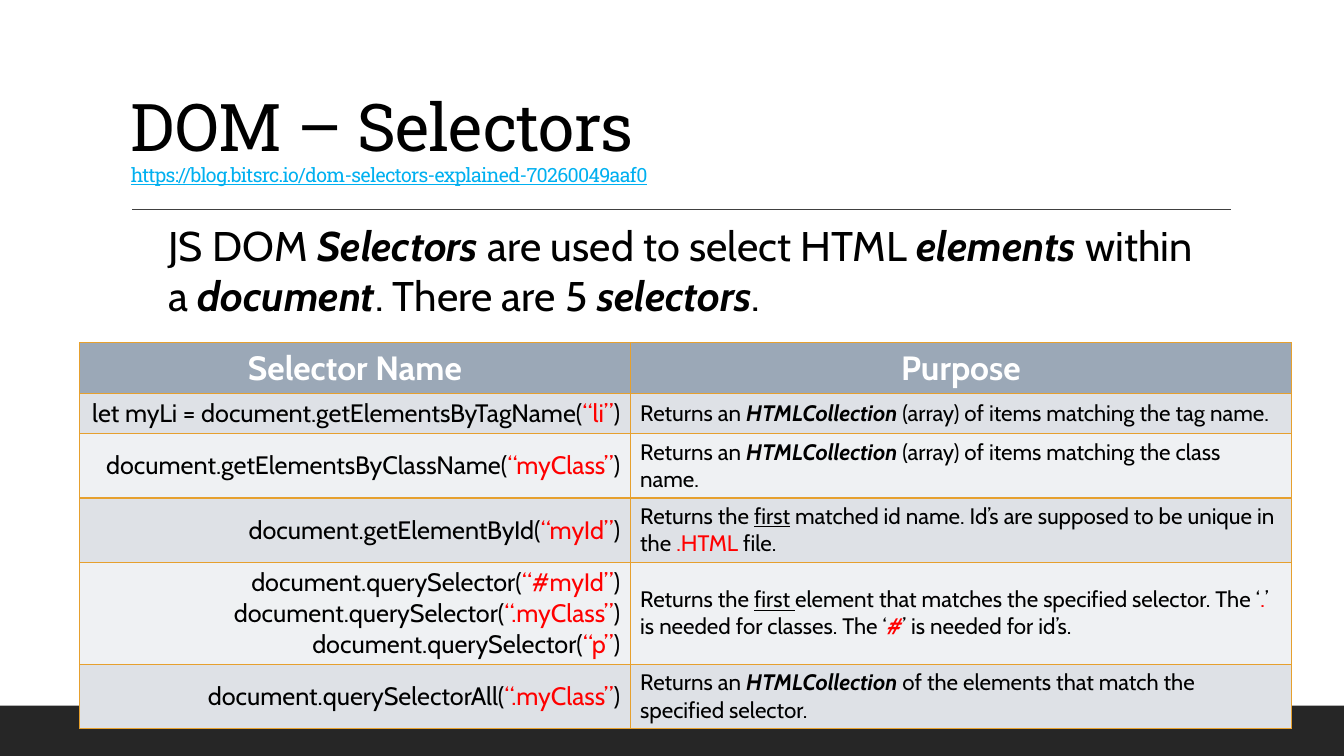
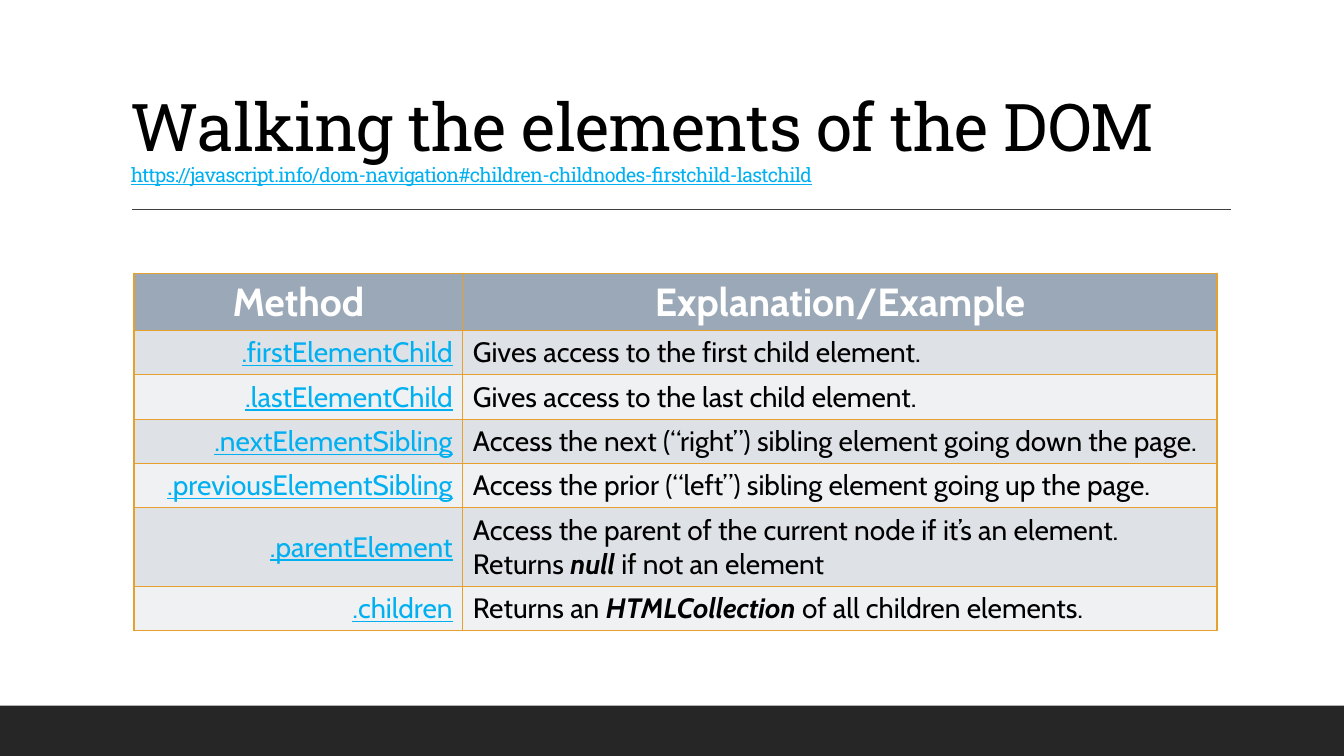
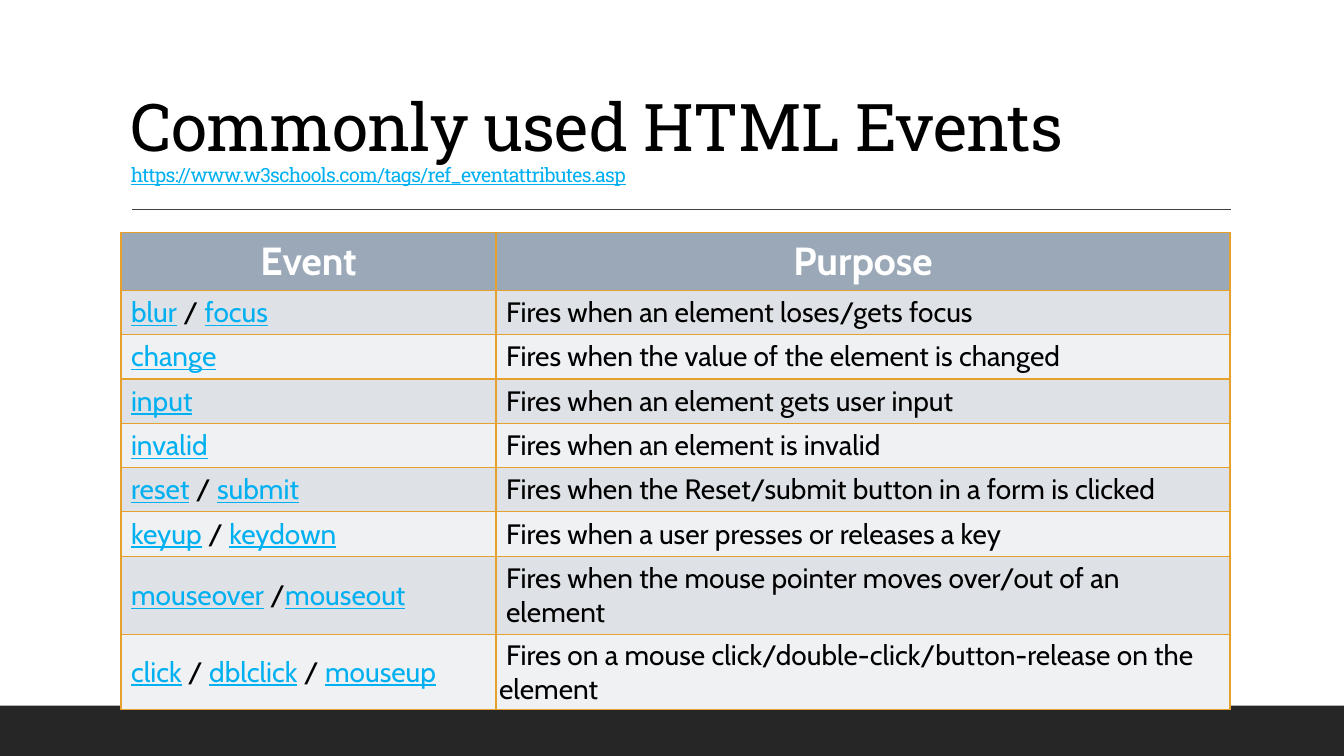
import pptx
import pptx.dml.color
import pptx.enum.shapes
import pptx.enum.text
import pptx.oxml
import pptx.oxml.ns
import pptx.util
import lxml.etree

Inches = pptx.util.Inches
Pt = pptx.util.Pt
RGBColor = pptx.dml.color.RGBColor
PP_ALIGN = pptx.enum.text.PP_ALIGN
MSO_ANCHOR = pptx.enum.text.MSO_ANCHOR
qn = pptx.oxml.ns.qn

BLACK = RGBColor(0x00, 0x00, 0x00)
WHITE = RGBColor(0xFF, 0xFF, 0xFF)
RED = RGBColor(0xFF, 0x00, 0x00)
LINK_BLUE = RGBColor(0x00, 0xB0, 0xF0)
BAND_GREY = RGBColor(0x26, 0x26, 0x26)
RULE_GREY = RGBColor(0x40, 0x40, 0x40)
HEADER_FILL = RGBColor(0x9B, 0xA8, 0xB7)
ROW_FILLS = [RGBColor(0xEF, 0xF1, 0xF3), RGBColor(0xDE, 0xE1, 0xE6)]
BORDER = RGBColor(0xE6, 0xA0, 0x2E)
TITLE_FONT = "Roboto Slab"
BODY_FONT = "Cabin"

STYLES = {
    "plain": (BLACK, False, False, False),
    "header": (WHITE, True, False, False),
    "strong": (BLACK, True, True, False),
    "red": (RED, False, False, False),
    "red strong": (RED, True, True, False),
    "under": (BLACK, False, False, True),
    "link": (LINK_BLUE, False, False, True),
}


def add_runs(paragraph, runs, size, font_name=BODY_FONT):
    for item in runs:
        text, style = (item, "plain") if isinstance(item, str) else item
        color, bold, italic, underline = STYLES[style]
        run = paragraph.add_run()
        run.text = text
        run.font.name = font_name
        run.font.size = Pt(size)
        run.font.color.rgb = color
        run.font.bold = bold
        run.font.italic = italic
        run.font.underline = underline


def style_cell(cell, fill):
    properties = cell._tc.get_or_add_tcPr()
    for side in ("lnL", "lnR", "lnT", "lnB"):
        line = lxml.etree.SubElement(properties, qn("a:" + side), w=str(Pt(1)))
        solid = lxml.etree.SubElement(line, qn("a:solidFill"))
        lxml.etree.SubElement(solid, qn("a:srgbClr"), val=str(BORDER))
    cell.fill.solid()
    cell.fill.fore_color.rgb = fill
    cell.vertical_anchor = MSO_ANCHOR.MIDDLE


COLLECTION = ("HTMLCollection", "strong")
selector_calls = [
    [("let myLi = document.getElementsByTagName", "“li”")],
    [("document.getElementsByClassName", "“myClass”")],
    [("document.getElementById", "“myId”")],
    [("document.querySelector", argument) for argument in ("“#myId”", "“.myClass”", "“p”")],
    [("document.querySelectorAll", "“.myClass”")],
]
selector_purposes = [
    ["Returns an ", COLLECTION, " (array) of items matching the tag name."],
    ["Returns an ", COLLECTION, " (array) of items matching the class name."],
    ["Returns the ", ("first", "under"),
     " matched id name. Id’s are supposed to be unique in the ", (".HTML ", "red"), "file."],
    ["Returns the ", ("first ", "under"), "element that matches the specified selector. The ‘",
     (".", "red"), "’ is needed for classes. The ‘", ("#", "red strong"), "’ is needed for id’s."],
    ["Returns an ", COLLECTION, " of the elements that match the specified selector."],
]
selector_rows = [
    ([[call + "(", (argument, "red"), ")"] for call, argument in calls], [purpose])
    for calls, purpose in zip(selector_calls, selector_purposes)
]

walking_rows = [
    ([[(method, "link")]], [explanation])
    for method, explanation in [
        (".firstElementChild", ["Gives access to the first child element."]),
        (".lastElementChild", ["Gives access to the last child element."]),
        (".nextElementSibling",
         ["Access the next (“right”) sibling element going down the page."]),
        (".previousElementSibling",
         ["Access the prior (“left”) sibling element going up the page."]),
        (".parentElement",
         ["Access the parent of the current node if it’s an element. Returns ",
          ("null ", "strong"), "if not an element"]),
        (".children", ["Returns an ", COLLECTION, " of all children elements."]),
    ]
]

event_rows = [
    ([[name if "/" in name else (name, "link") for name in names]], [[purpose]])
    for names, purpose in [
        (["blur", " / ", "focus"], "Fires when an element loses/gets focus"),
        (["change"], "Fires when the value of the element is changed"),
        (["input"], "Fires when an element gets user input"),
        (["invalid"], "Fires when an element is invalid"),
        (["reset", " / ", "submit"], "Fires when the Reset/submit button in a form is clicked"),
        (["keyup", " / ", "keydown"], "Fires when a user presses or releases a key"),
        (["mouseover", " /", "mouseout"],
         "Fires when the mouse pointer moves over/out of an element"),
        (["click", " / ", "dblclick", " / ", "mouseup"],
         "Fires on a mouse click/double-click/button-release on the element"),
    ]
]

pages = [
    {
        "title": "DOM – Selectors",
        "link": "https://blog.bitsrc.io/dom-selectors-explained-70260049aaf0",
        "position": (0.79, 3.4), "columns": [5.46, 6.56],
        "heights": [0.5, 0.4, 0.64, 0.64, 1.01, 0.64],
        "headers": ["Selector Name", "Purpose"], "rows": selector_rows,
        "header_size": 24, "sizes": [18, 16], "first_align": PP_ALIGN.RIGHT,
    },
    {
        "title": "Walking the elements of the DOM",
        "link": "https://javascript.info/dom-navigation#children-childnodes-firstchild-lastchild",
        "position": (1.33, 2.71), "columns": [3.26, 7.48],
        "heights": [0.57] + [0.44] * 4 + [0.78, 0.44],
        "headers": ["Method", "Explanation/Example"], "rows": walking_rows,
        "header_size": 28, "sizes": [20, 20], "first_align": PP_ALIGN.RIGHT,
    },
    {
        "title": "Commonly used HTML Events",
        "link": "https://www.w3schools.com/tags/ref_eventattributes.asp",
        "position": (1.2, 2.31), "columns": [3.72, 7.28],
        "heights": [0.57] + [0.44] * 6 + [0.78, 0.74],
        "headers": ["Event", "Purpose"], "rows": event_rows,
        "header_size": 28, "sizes": [20, 20], "first_align": PP_ALIGN.LEFT,
    },
]

presentation = pptx.Presentation()
presentation.slide_width = Inches(13.33)
presentation.slide_height = Inches(7.5)

for page in pages:
    slide = presentation.slides.add_slide(presentation.slide_layouts[6])

    band = slide.shapes.add_shape(
        pptx.enum.shapes.MSO_SHAPE.RECTANGLE, 0, Inches(7), Inches(13.33), Inches(0.5))
    band.shadow.inherit = False
    band.fill.solid()
    band.fill.fore_color.rgb = BAND_GREY
    band.line.fill.background()

    rule = slide.shapes.add_connector(
        pptx.enum.shapes.MSO_CONNECTOR.STRAIGHT,
        Inches(1.31), Inches(2.08), Inches(12.21), Inches(2.08))
    rule.line.color.rgb = RULE_GREY
    rule.line.width = Pt(1)
    lxml.etree.SubElement(rule._element.spPr, qn("a:effectLst"))

    title_box = slide.shapes.add_textbox(Inches(1.2), Inches(0.31), Inches(11), Inches(1.59))
    title_box.text_frame.word_wrap = True
    title_box.text_frame.vertical_anchor = MSO_ANCHOR.BOTTOM
    paragraph = title_box.text_frame.paragraphs[0]
    paragraph.line_spacing = 0.9
    add_runs(paragraph, [page["title"]], 47, TITLE_FONT)
    paragraph.add_line_break()
    add_runs(paragraph, [(page["link"], "link")], 14, TITLE_FONT)
    for run in paragraph.runs:
        run.font._element.set("spc", "-50")

    left, top = page["position"]
    table = slide.shapes.add_table(
        len(page["heights"]), 2, Inches(left), Inches(top),
        Inches(sum(page["columns"])), Inches(sum(page["heights"]))).table
    for column, width in zip(table.columns, page["columns"]):
        column.width = Inches(width)
    for row, height in zip(table.rows, page["heights"]):
        row.height = Inches(height)

    for index, header in enumerate(page["headers"]):
        cell = table.cell(0, index)
        style_cell(cell, HEADER_FILL)
        paragraph = cell.text_frame.paragraphs[0]
        paragraph.alignment = PP_ALIGN.CENTER
        add_runs(paragraph, [(header, "header")], page["header_size"])

    for row_number, row in enumerate(page["rows"], start=1):
        for index, paragraphs in enumerate(row):
            cell = table.cell(row_number, index)
            style_cell(cell, ROW_FILLS[row_number % 2])
            for number, runs in enumerate(paragraphs):
                frame = cell.text_frame
                paragraph = frame.add_paragraph() if number else frame.paragraphs[0]
                paragraph.alignment = PP_ALIGN.LEFT if index else page["first_align"]
                add_runs(paragraph, runs, page["sizes"][index])

click_purpose = table.cell(8, 1)
click_purpose.margin_left = click_purpose.margin_right = Inches(0.03)
click_purpose.margin_top = click_purpose.margin_bottom = Inches(0.03)
click_purpose.text_frame.paragraphs[0]._p.get_or_add_pPr().set("indent", str(Inches(0.07)))

intro_box = presentation.slides[0].shapes.add_textbox(
    Inches(1.67), Inches(2.12), Inches(10.37), Inches(1.11))
intro = intro_box.text_frame
intro.word_wrap = True
intro.vertical_anchor = MSO_ANCHOR.MIDDLE
intro.margin_left = intro.margin_right = 0
add_runs(intro.paragraphs[0], [
    "JS DOM ", ("Selectors", "strong"), " are used to select HTML ", ("elements", "strong"),
    " within a ", ("document", "strong"), ". There are 5 ", ("selectors", "strong"), ".",
], 29.6)

presentation.save("out.pptx")
